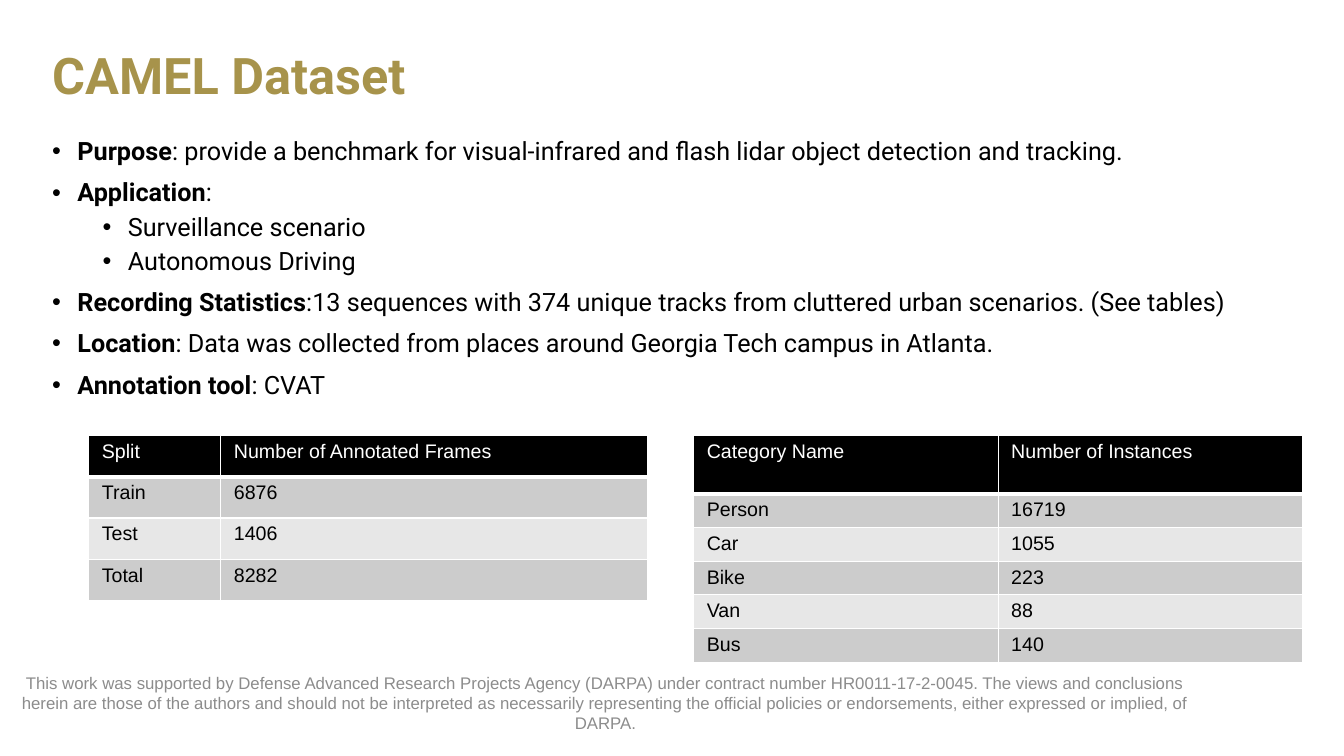
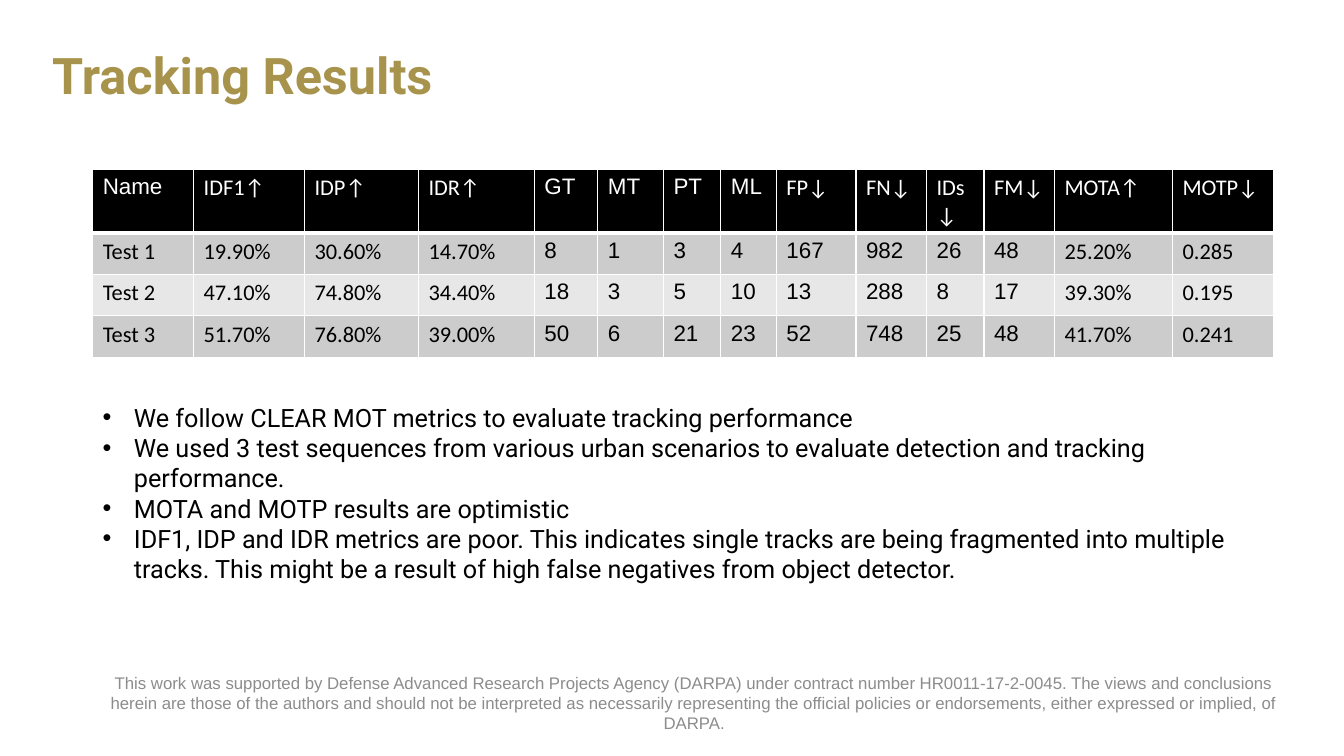
import pptx
import pptx.dml.color
import pptx.enum.text
import pptx.oxml
import pptx.oxml.ns
import pptx.util

Inches, Pt = pptx.util.Inches, pptx.util.Pt
RGBColor = pptx.dml.color.RGBColor
ANCHOR, ALIGN = pptx.enum.text.MSO_ANCHOR, pptx.enum.text.PP_ALIGN

# Shared style
GOLD = RGBColor(0xA7, 0x93, 0x4B)
BLACK = RGBColor(0x00, 0x00, 0x00)
WHITE = RGBColor(0xFF, 0xFF, 0xFF)
FOOTER_GRAY = RGBColor(0x8C, 0x8C, 0x8C)
BANDS = (RGBColor(0xCC, 0xCC, 0xCC), RGBColor(0xE7, 0xE7, 0xE7))
HEAD_FONT, TABLE_FONT, METRIC_FONT = "Roboto", "Arial", "Calibri"

FOOTER = (
    "This work was supported by Defense Advanced Research Projects Agency (DARPA) "
    "under contract number HR0011-17-2-0045. The views and conclusions herein are those "
    "of the authors and should not be interpreted as necessarily representing the official "
    "policies or endorsements, either expressed or implied, of DARPA."
)

# Dataset slide: (level, bold lead, rest)
DATASET_POINTS = [
    (0, "Purpose", ": provide a benchmark for visual-infrared and flash lidar "
                   "object detection and tracking."),
    (0, "Application", ":"),
    (1, "", "Surveillance scenario"),
    (1, "", "Autonomous Driving"),
    (0, "Recording Statistics", ":13 sequences with 374 unique tracks from "
                                "cluttered urban scenarios. (See tables)"),
    (0, "Location", ": Data was collected from places around Georgia Tech campus in Atlanta."),
    (0, "Annotation tool", ": CVAT"),
]
LEVELS = [dict(indent=0.25, hang=0.25, before=10), dict(indent=0.75, hang=0.25, before=5)]
CATEGORIES = [
    ("Category Name", "Number of Instances"),
    ("Person", "16719"),
    ("Car", "1055"),
    ("Bike", "223"),
    ("Van", "88"),
    ("Bus", "140"),
]
SPLITS = [
    ("Split", "Number of Annotated Frames"),
    ("Train", "6876"),
    ("Test", "1406"),
    ("Total", "8282"),
]

# Results slide
RESULTS = [
    ("Name", "IDF1↑", "IDP↑", "IDR↑", "GT", "MT", "PT", "ML",
     "FP↓", "FN↓", "IDs↓", "FM↓", "MOTA↑", "MOTP↓"),
    ("Test 1", "19.90%", "30.60%", "14.70%", "8", "1", "3", "4",
     "167", "982", "26", "48", "25.20%", "0.285"),
    ("Test 2", "47.10%", "74.80%", "34.40%", "18", "3", "5", "10",
     "13", "288", "8", "17", "39.30%", "0.195"),
    ("Test 3", "51.70%", "76.80%", "39.00%", "50", "6", "21", "23",
     "52", "748", "25", "48", "41.70%", "0.241"),
]
RESULT_COLS = [1, 1.1, 1.13, 1.15, 0.63, 0.65, 0.57, 0.55, 0.79, 0.7, 0.57, 0.7, 1.17, 1]
RESULT_POINTS = [
    "We follow CLEAR MOT metrics to evaluate tracking performance",
    "We used 3 test sequences from various urban scenarios to evaluate detection "
    "and tracking performance.",
    "MOTA and MOTP results are optimistic",
    "IDF1, IDP and IDR metrics are poor. This indicates single tracks are being fragmented "
    "into multiple tracks. This might be a result of high false negatives from object detector.",
]


def write(tf, text, lead="", font=HEAD_FONT, size=18, color=BLACK, bold=False,
          align=None, spacing=None, before=0, indent=0, hang=0):
    """Add a paragraph with an optional bold lead; a hanging indent gets a bullet."""
    first = not tf.paragraphs[0].runs
    p = tf.paragraphs[0] if first else tf.add_paragraph()
    if hang:
        pPr = p._p.get_or_add_pPr()
        pPr.set("marL", str(Inches(indent)))
        pPr.set("indent", str(-Inches(hang)))
        ns = pptx.oxml.ns.nsdecls("a")
        pPr.append(pptx.oxml.parse_xml(f'<a:buFont {ns} typeface="Arial"/>'))
        pPr.append(pptx.oxml.parse_xml(f'<a:buChar {ns} char="•"/>'))
    if align is not None:
        p.alignment = align
    if spacing:
        p.line_spacing = spacing
    if before and not first:
        p.space_before = Pt(before)
    for part, is_bold in ((lead, True), (text, bold)):
        if part:
            r = p.add_run()
            r.text = part
            r.font.name, r.font.size, r.font.bold = font, Pt(size), is_bold
            r.font.color.rgb = color


def add_box(slide, left, top, width, height, anchor=ANCHOR.TOP):
    sp = slide.shapes.add_textbox(Inches(left), Inches(top), Inches(width), Inches(height))
    tf = sp.text_frame
    tf.word_wrap = True
    tf.vertical_anchor = anchor
    return tf


def border_cell(cell, bottom):
    """Draw white cell borders; the bottom width is in points."""
    tcPr = cell._tc.get_or_add_tcPr()
    for i, (side, width) in enumerate((("L", 1), ("R", 1), ("T", 1), ("B", bottom))):
        tcPr.insert(i, pptx.oxml.parse_xml(
            f'<a:ln{side} {pptx.oxml.ns.nsdecls("a")} w="{Pt(width)}"><a:solidFill>'
            f'<a:srgbClr val="{WHITE}"/></a:solidFill></a:ln{side}>'))


def add_table(slide, left, top, cols, heights, rows, size, inset=0.1,
              pick_font=lambda row, col: TABLE_FONT):
    frame = slide.shapes.add_table(len(rows), len(cols), Inches(left), Inches(top),
                                   Inches(sum(cols)), Inches(sum(heights)))
    table = frame.table
    table.first_row = table.horz_banding = False
    for column, width in zip(table.columns, cols):
        column.width = Inches(width)
    for i, values in enumerate(rows):
        table.rows[i].height = Inches(heights[i])
        for j, value in enumerate(values):
            cell = table.cell(i, j)
            cell.margin_left = cell.margin_right = Inches(inset)
            cell.fill.solid()
            cell.fill.fore_color.rgb = BANDS[(i - 1) % 2] if i else BLACK
            border_cell(cell, bottom=1 if i else 3)
            write(cell.text_frame, value, font=pick_font(i, j), size=size,
                  color=BLACK if i else WHITE)


def result_font(row, col):
    if row == 0:
        return METRIC_FONT if RESULTS[0][col][-1] in "↑↓" else TABLE_FONT
    return TABLE_FONT if 4 <= col < 12 else METRIC_FONT


def add_slide(prs, title, footer_left):
    """Blank slide with the shared title and footer."""
    slide = prs.slides.add_slide(prs.slide_layouts[6])
    write(add_box(slide, 0.42, 0.22, 12.5, 1.11, ANCHOR.MIDDLE), title,
          size=36, color=GOLD, bold=True, spacing=0.9)
    write(add_box(slide, footer_left, 6.63, 11.79, 0.68, ANCHOR.MIDDLE), FOOTER,
          font=TABLE_FONT, size=12, color=FOOTER_GRAY, align=ALIGN.CENTER)
    return slide


def main():
    prs = pptx.Presentation()
    prs.slide_width, prs.slide_height = Inches(13.33), Inches(7.5)

    # Dataset
    slide = add_slide(prs, "CAMEL Dataset", 0.11)
    tf = add_box(slide, 0.42, 1.33, 12.5, 2.8)
    for level, lead, text in DATASET_POINTS:
        write(tf, text, lead=lead, spacing=0.9, **LEVELS[level])
    add_table(slide, 6.88, 4.32, [3.02] * 2, [0.58] + [0.33] * 5, CATEGORIES, 14, inset=0.13)
    add_table(slide, 0.88, 4.32, [1.31, 4.23], [0.41] * 4, SPLITS, 14, inset=0.13)

    # Tracking results
    slide = add_slide(prs, "Tracking Results", 0.99)
    add_table(slide, 0.92, 1.68, RESULT_COLS, [0.41] * 4, RESULTS, 16, pick_font=result_font)
    tf = add_box(slide, 0.92, 3.94, 11.45, 1.92)
    for text in RESULT_POINTS:
        write(tf, text, indent=0.31, hang=0.31)

    prs.save("out.pptx")


if __name__ == "__main__":
    main()
